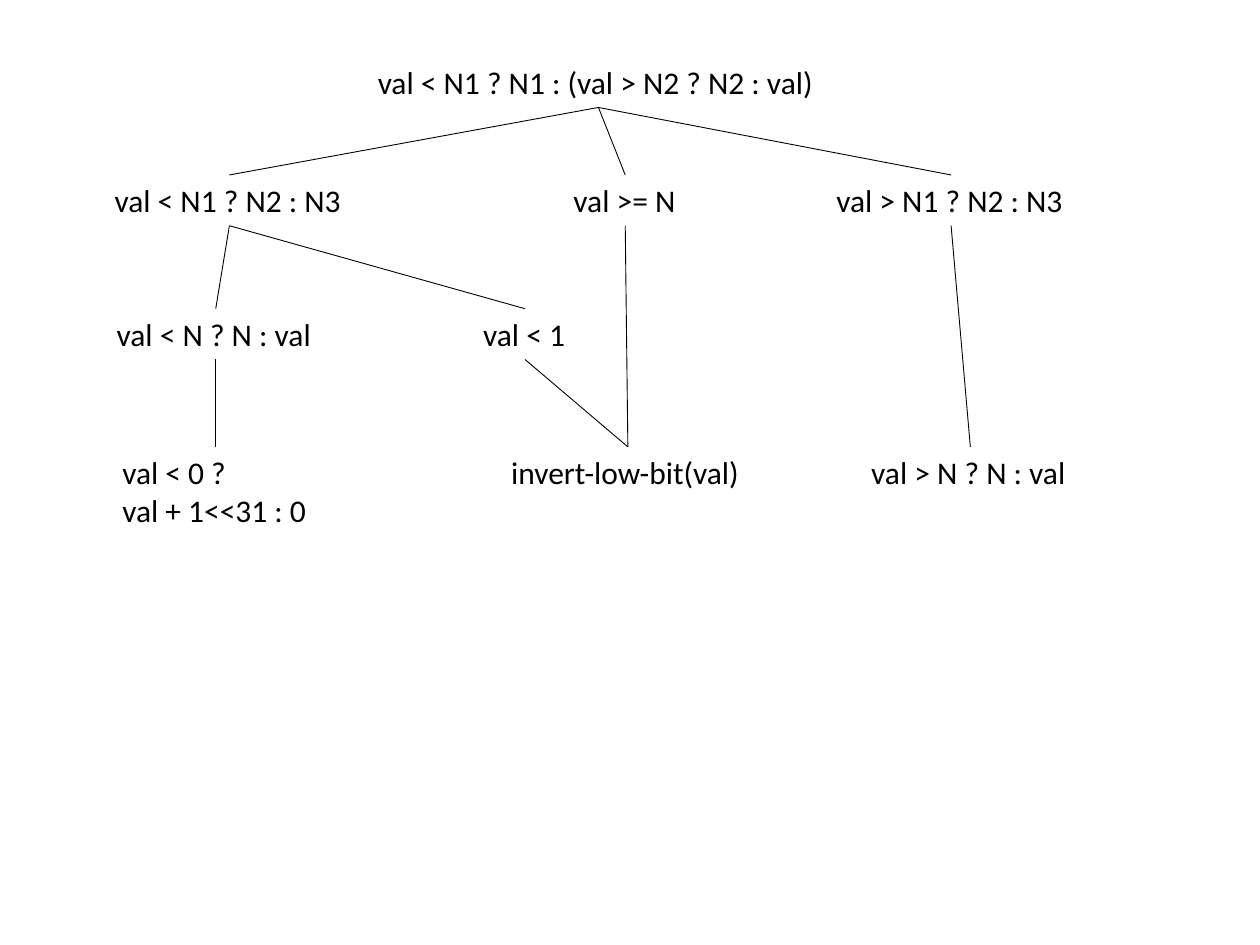
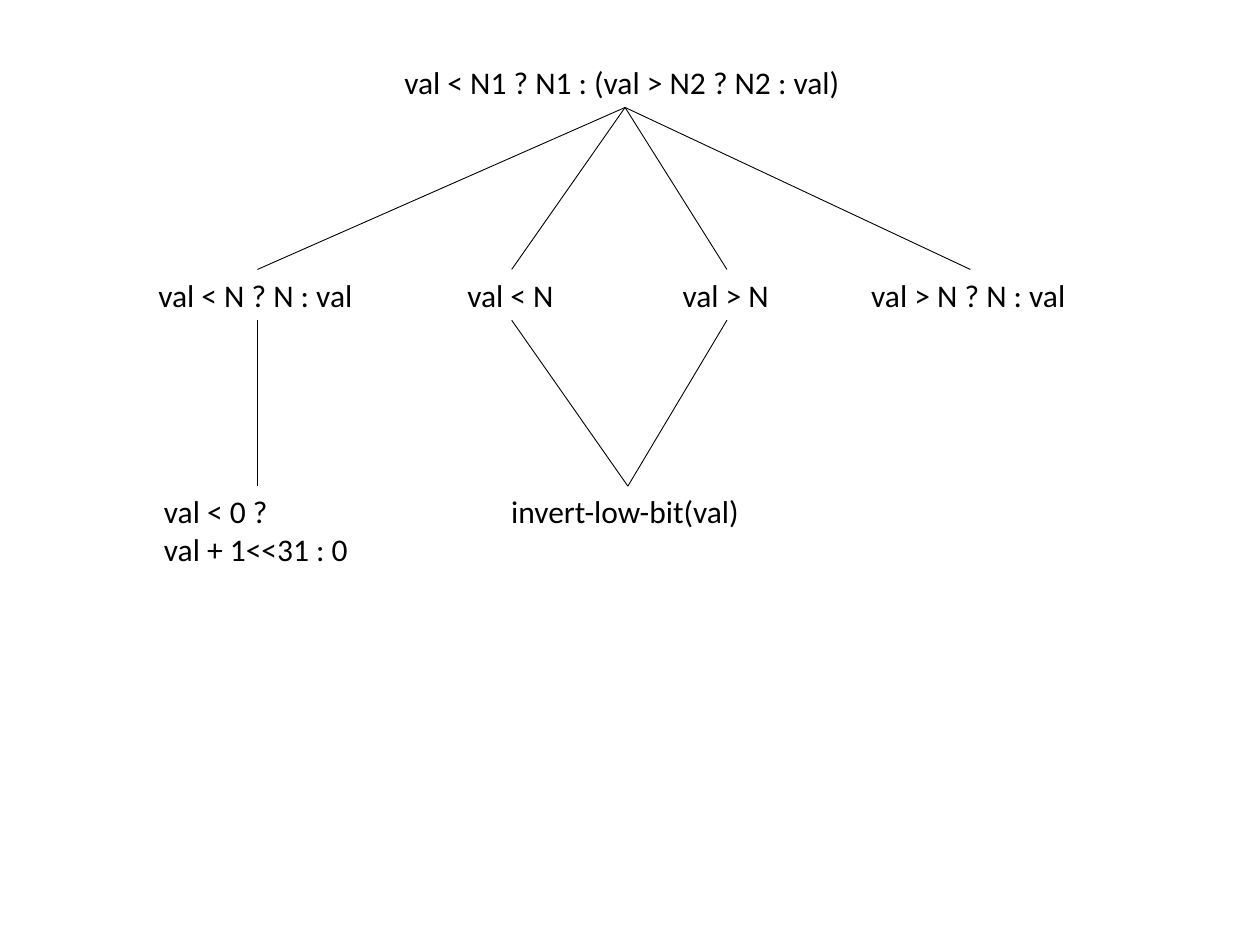
import pptx
import pptx.dml.color
import pptx.enum.shapes
import pptx.enum.text
import pptx.util
from lxml import etree

Pt = pptx.util.Pt
TOP, BOTTOM = 0, 2
LINE_HEIGHT = 21.6
INSETS = 7.4

CLAMP = "val < N1 ? N1 : (val > N2 ? N2 : val)"
BELOW_CHOICE = "val < N1 ? N2 : N3"
ABOVE_CHOICE = "val > N1 ? N2 : N3"
LOWER_LIMIT = "val < N ? N : val"
UPPER_LIMIT = "val > N ? N : val"
BELOW_ONE = "val < 1"
AT_LEAST = "val >= N"
BELOW = "val < N"
ABOVE = "val > N"
INVERT = "invert-low-bit(val)"
SIGN = "val < 0 ?\nval + 1<<31 : 0"

WIDTHS = {
    CLAMP: 266.4, BELOW_CHOICE: 145.4, ABOVE_CHOICE: 145.4,
    LOWER_LIMIT: 127.4, UPPER_LIMIT: 127.4, BELOW_ONE: 62,
    AT_LEAST: 73.4, BELOW: 64.8, ABOVE: 64.8, INVERT: 147.6, SIGN: 121,
}


def color(value):
    return pptx.dml.color.RGBColor.from_string(value)


class TreeDeck:
    """Draws trees of expressions, one on each slide."""

    font = "Calibri"
    size = 18
    ink = "000000"
    line_width = 0.5

    def __init__(self):
        self.deck = pptx.Presentation()
        self.deck.slide_width, self.deck.slide_height = Pt(720), Pt(540)
        self.page = None

    def add_page(self):
        self.page = self.deck.slides.add_slide(self.deck.slide_layouts[6])

    def add_expression(self, text, left, top):
        lines = text.split("\n")
        height = len(lines) * LINE_HEIGHT + INSETS
        box = self.page.shapes.add_textbox(
            Pt(left), Pt(top), Pt(WIDTHS[text]), Pt(height))
        frame = box.text_frame
        frame.word_wrap = False
        frame.auto_size = pptx.enum.text.MSO_AUTO_SIZE.SHAPE_TO_FIT_TEXT
        for number, line in enumerate(lines):
            para = frame.add_paragraph() if number else frame.paragraphs[0]
            span = para.add_run()
            span.text = line
            span.font.name = self.font
            span.font.size = Pt(self.size)
            span.font.color.rgb = color(self.ink)
        return box

    def add_branch(self, child, parent):
        """Join the top of the child to the bottom of its parent."""
        branch = self.page.shapes.add_connector(
            pptx.enum.shapes.MSO_CONNECTOR.STRAIGHT, 0, 0, 0, 0)
        branch.begin_connect(child, TOP)
        branch.end_connect(parent, BOTTOM)
        branch.line.color.rgb = color(self.ink)
        branch.line.width = Pt(self.line_width)
        properties = branch.element.spPr
        etree.SubElement(properties, pptx.oxml.ns.qn("a:effectLst"))

    def add_tree(self, rows, branches):
        """Rows map a top to {expression: left}; branches map parent to children."""
        self.add_page()
        boxes = {text: self.add_expression(text, left, top)
                 for top, row in rows.items() for text, left in row.items()}
        for parent, children in branches.items():
            for child in children:
                self.add_branch(boxes[child], boxes[parent])


def main():
    trees = TreeDeck()
    trees.add_tree(
        {
            32.4: {CLAMP: 208.8},
            100: {BELOW_CHOICE: 58.4, AT_LEAST: 320.6, ABOVE_CHOICE: 470.8},
            176.4: {LOWER_LIMIT: 59.6, BELOW_ONE: 269},
            255.4: {SIGN: 62.8, INVERT: 285, UPPER_LIMIT: 490.8},
        },
        {
            CLAMP: [BELOW_CHOICE, AT_LEAST, ABOVE_CHOICE],
            BELOW_CHOICE: [LOWER_LIMIT, BELOW_ONE],
            LOWER_LIMIT: [SIGN],
            BELOW_ONE: [INVERT],
            AT_LEAST: [INVERT],
            ABOVE_CHOICE: [UPPER_LIMIT],
        },
    )
    trees.add_tree(
        {
            32.4: {CLAMP: 224},
            154: {LOWER_LIMIT: 83.4, BELOW: 260, ABOVE: 383, UPPER_LIMIT: 490.8},
            277.8: {SIGN: 86.6, INVERT: 285},
        },
        {
            CLAMP: [LOWER_LIMIT, BELOW, ABOVE, UPPER_LIMIT],
            LOWER_LIMIT: [SIGN],
            BELOW: [INVERT],
            ABOVE: [INVERT],
        },
    )
    trees.deck.save("out.pptx")


if __name__ == "__main__":
    main()
